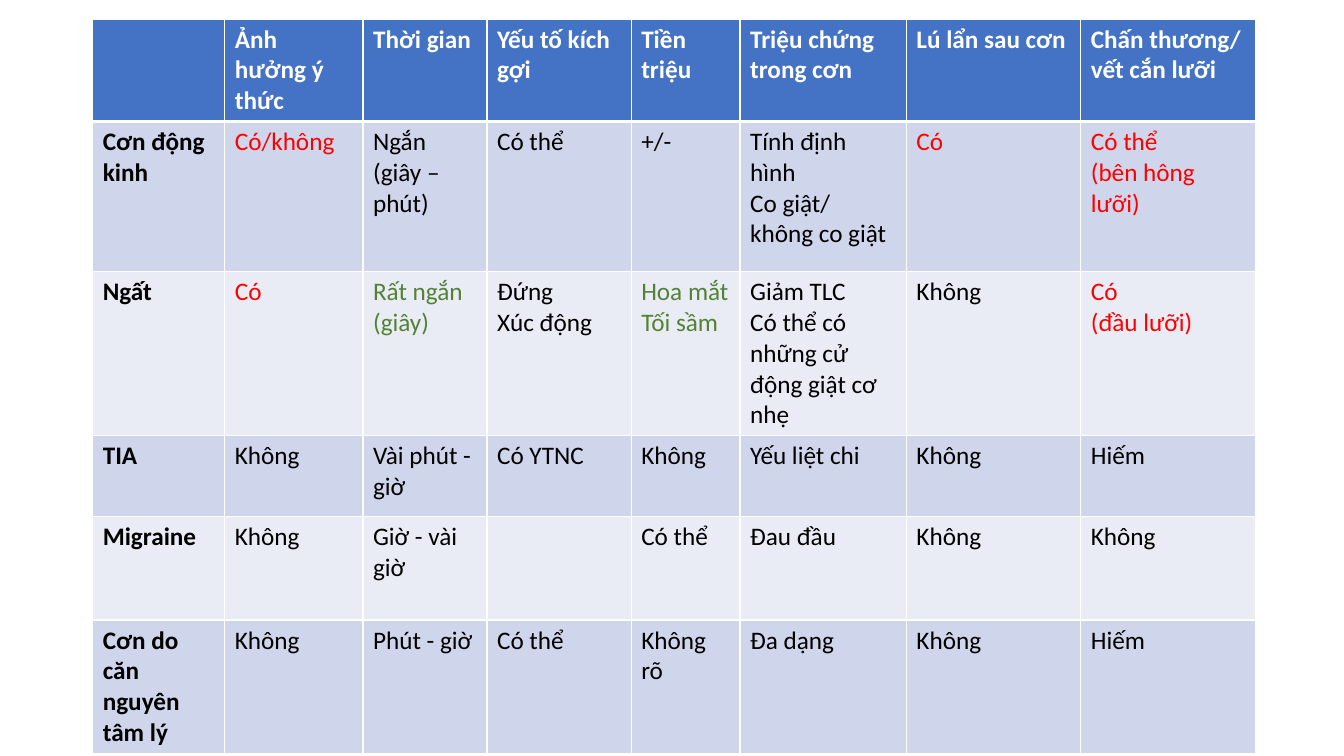
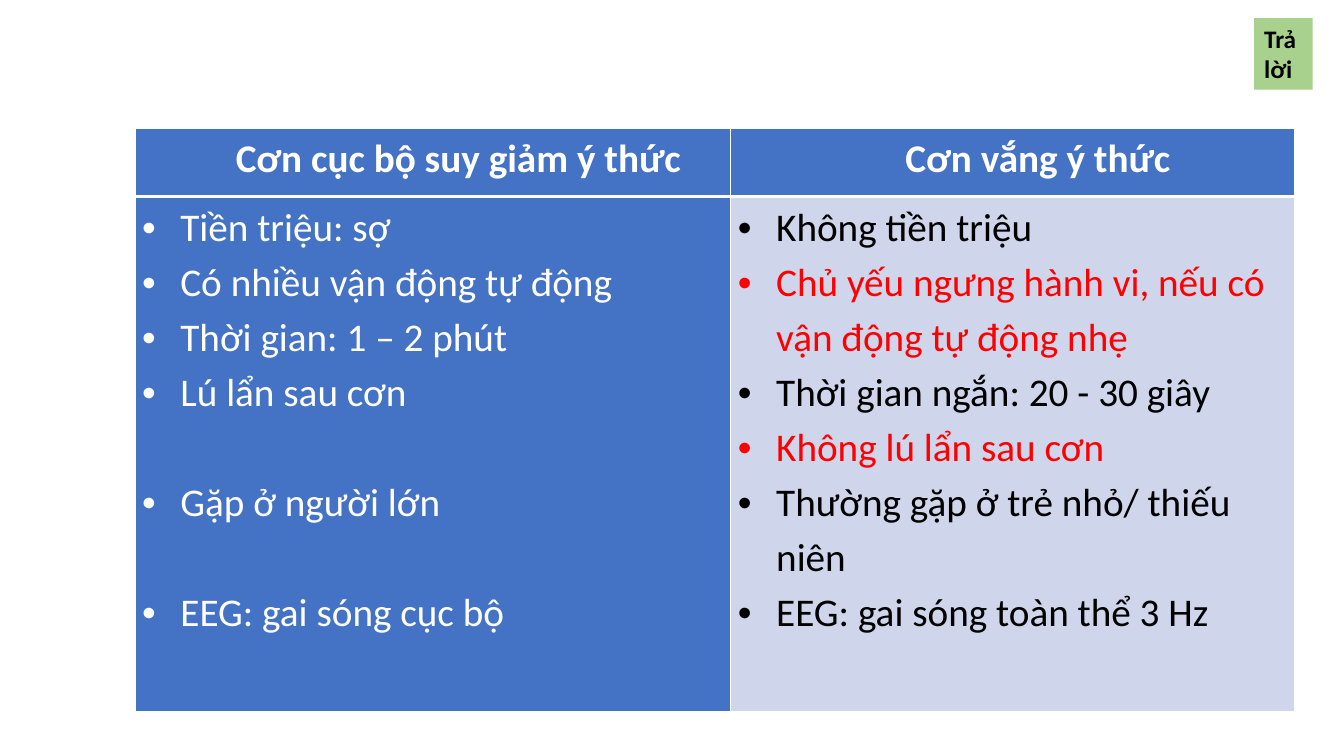
from lxml import etree
from pptx import Presentation
from pptx.dml.color import RGBColor
from pptx.enum.shapes import MSO_SHAPE
from pptx.enum.text import MSO_ANCHOR, PP_ALIGN
from pptx.oxml.ns import qn
from pptx.util import Inches, Pt

RECT = MSO_SHAPE.RECTANGLE
TOP = MSO_ANCHOR.TOP
LEFT, MID = PP_ALIGN.LEFT, PP_ALIGN.CENTER
FONT = "Calibri"
HUES = {
    "blue": "4472C4", "band": "CFD5EA", "pale": "E9EBF5",
    "white": "FFFFFF", "black": "000000", "red": "FF0000",
    "green": "548235", "tag": "A9D18E",
}
HUE = {name: RGBColor.from_string(code) for name, code in HUES.items()}

deck = Presentation()
deck.slide_width, deck.slide_height = Inches(13.33), Inches(7.5)
wide, high = deck.slide_width / 100, deck.slide_height / 100
blank = deck.slide_layouts[6]


def write(frame, text, size, hue, bold=False):
    frame.text = text
    for para in frame.paragraphs:
        for run in para.runs:
            font = run.font
            font.name, font.size, font.bold = FONT, Pt(size), bold
            font.color.rgb = HUE[hue]


def grid(slide, left, top, cols, rows):
    table = slide.shapes.add_table(
        len(rows), len(cols), int(left * wide), int(top * high),
        int(sum(cols) * wide), int(sum(rows) * high)).table
    for col, share in zip(table.columns, cols):
        col.width = int(share * wide)
    for row, share in zip(table.rows, rows):
        row.height = int(share * high)
    for r in range(len(rows)):
        for c in range(len(cols)):
            props = table.cell(r, c)._tc.get_or_add_tcPr()
            for side in "LRTB":
                thick = (r, side) in ((0, "B"), (1, "T"))
                line = etree.SubElement(props, qn("a:ln" + side), w=str(Pt(3 if thick else 1)))
                fill = etree.SubElement(line, qn("a:solidFill"))
                etree.SubElement(fill, qn("a:srgbClr"), val=HUES["white"])
    return table


slide = deck.slides.add_slide(blank)
cells = [
    ["", "Ảnh hưởng ý thức", "Thời gian", "Yếu tố kích gợi", "Tiền triệu",
     "Triệu chứng trong cơn", "Lú lẩn sau cơn", "Chấn thương/ vết cắn lưỡi"],
    ["Cơn động kinh", "Có/không", "Ngắn (giây – phút)", "Có thể", "+/-",
     "Tính định hình\nCo giật/ không co giật", "Có", "Có thể\n(bên hông lưỡi)"],
    ["Ngất", "Có", "Rất ngắn (giây)", "Đứng\nXúc động", "Hoa mắt\nTối sầm",
     "Giảm TLC\nCó thể có những cử động giật cơ nhẹ", "Không", "Có\n(đầu lưỡi)"],
    ["TIA", "Không", "Vài phút - giờ", "Có YTNC", "Không", "Yếu liệt chi", "Không", "Hiếm"],
    ["Migraine", "Không", "Giờ - vài giờ", "", "Có thể", "Đau đầu", "Không", "Không"],
    ["Cơn do căn nguyên tâm lý", "Không", "Phút - giờ", "Có thể", "Không rõ",
     "Đa dạng", "Không", "Hiếm"],
]
marks = {(1, 1): "red", (1, 6): "red", (1, 7): "red", (2, 1): "red",
         (2, 7): "red", (2, 2): "green", (2, 4): "green"}
table = grid(slide, 6.9, 2.53,
             [9.83, 10.28, 9.23, 10.73, 8.1, 12.38, 12.98, 12.98],
             [9.87, 19.87, 13.73, 10.67, 13.73, 16.93])
for r, row in enumerate(cells):
    for c, text in enumerate(row):
        cell = table.cell(r, c)
        cell.fill.solid()
        cell.fill.fore_color.rgb = HUE[("pale", "band")[r % 2] if r else "blue"]
        hue = marks.get((r, c), "black") if r else "white"
        write(cell.text_frame, text, 18, hue, r == 0 or c == 0)

slide = deck.slides.add_slide(blank)
heads = ["Cơn cục bộ suy giảm ý thức", "Cơn vắng ý thức"]
lists = [
    ["Tiền triệu: sợ", "Có nhiều vận động tự động", "Thời gian: 1 – 2 phút",
     "Lú lẩn sau cơn", "Gặp ở người lớn", "EEG: gai sóng cục bộ"],
    ["Không tiền triệu", "Chủ yếu ngưng hành vi, nếu có vận động tự động nhẹ",
     "Thời gian ngắn: 20 - 30 giây", "Không lú lẩn sau cơn",
     "Thường gặp ở trẻ nhỏ/ thiếu niên", "EEG: gai sóng toàn thể 3 Hz"],
]
gaps = {(0, 4), (0, 5)}
reds = {(1, 1), (1, 3)}
table = grid(slide, 10.05, 16.93, [44.33, 41.93], [9.07, 68.13])
for c, (head, items) in enumerate(zip(heads, lists)):
    for r, text in enumerate([head, "\n".join(items)]):
        cell = table.cell(r, c)
        cell.margin_left = cell.margin_right = Inches(0.07)
        cell.margin_top = cell.margin_bottom = 0
        cell.vertical_anchor = TOP
        cell.fill.solid()
        cell.fill.fore_color.rgb = HUE["band" if r and c else "blue"]
        write(cell.text_frame, text, 28, "black" if r and c else "white", r == 0)
        for n, para in enumerate(cell.text_frame.paragraphs):
            props = para._p.get_or_add_pPr()
            props.set("marL", str(Inches(0.38 if r else 0.5)))
            if r:
                props.set("indent", str(-Inches(0.38)))
                etree.SubElement(props, qn("a:buFont"), typeface="Arial")
                etree.SubElement(props, qn("a:buChar"), char="•")
                if (c, n) in gaps:
                    para.space_before = Pt(39.3)
                if (c, n) in reds:
                    para.runs[0].font.color.rgb = HUE["red"]
            para.alignment = LEFT if r else MID
            para.line_spacing = 1.15

tag = slide.shapes.add_shape(RECT, int(93.32 * wide), int(2.4 * high),
                             int(4.35 * wide), int(9.47 * high))
tag.shadow.inherit = False
tag.fill.solid()
tag.fill.fore_color.rgb = HUE["tag"]
tag.line.fill.background()
tag.text_frame.word_wrap = True
tag.text_frame.vertical_anchor = TOP
write(tag.text_frame, "Trả lời", 18, "black", True)
tag.text_frame.paragraphs[0].alignment = LEFT

deck.save("out.pptx")
